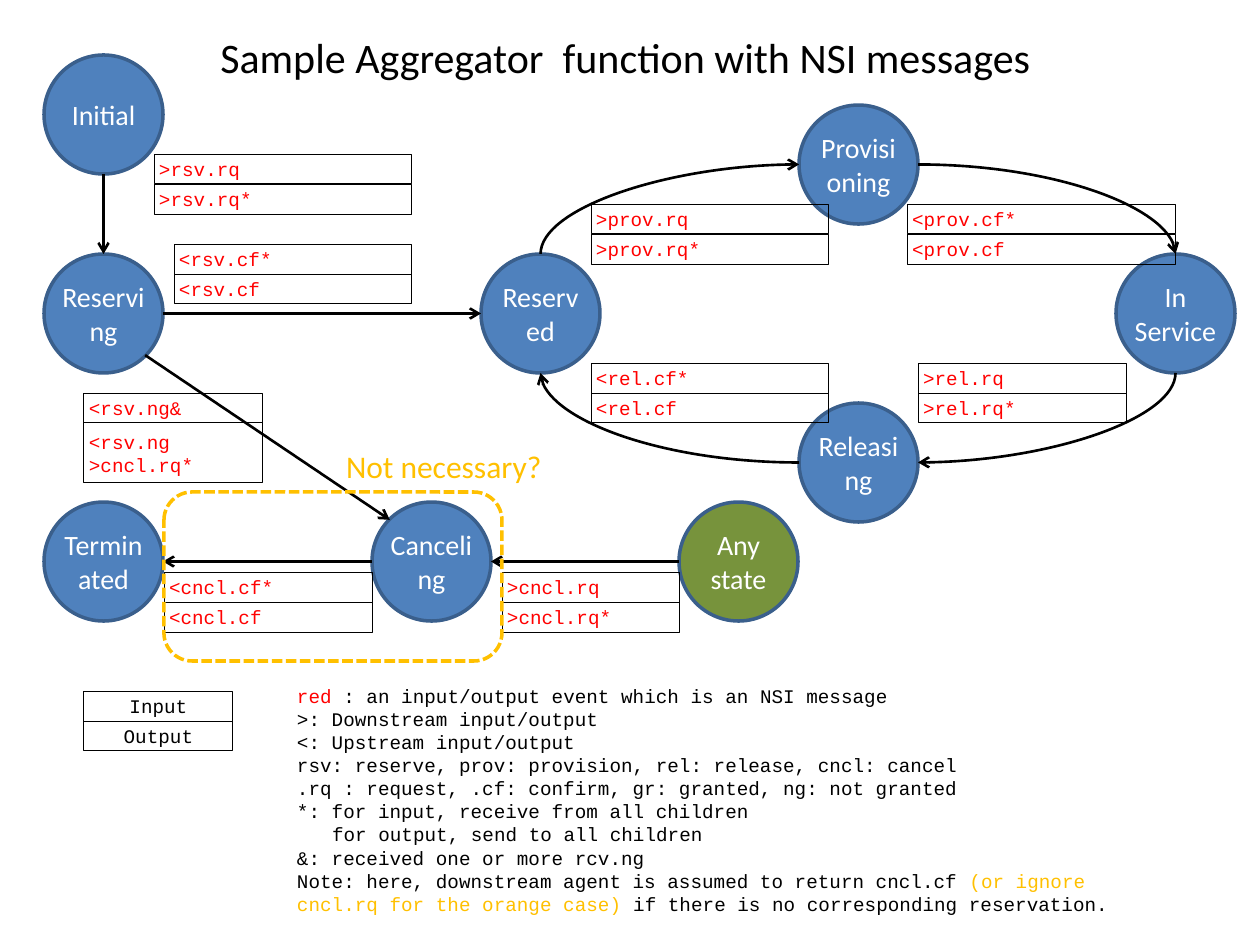
from lxml import etree
from pptx import Presentation
from pptx.dml.color import RGBColor
from pptx.enum.dml import MSO_LINE
from pptx.enum.shapes import MSO_CONNECTOR, MSO_SHAPE
from pptx.enum.text import MSO_ANCHOR, PP_ALIGN
from pptx.oxml.ns import qn
from pptx.util import Pt

PX = 914400 / 126
OVAL, RECT, ROUNDED = MSO_SHAPE.OVAL, MSO_SHAPE.RECTANGLE, MSO_SHAPE.ROUNDED_RECTANGLE
STRAIGHT, CURVE = MSO_CONNECTOR.STRAIGHT, MSO_CONNECTOR.CURVE
LEFT, CENTER = PP_ALIGN.LEFT, PP_ALIGN.CENTER
MIDDLE, TOP_ANCHOR = MSO_ANCHOR.MIDDLE, MSO_ANCHOR.TOP
DASHED = MSO_LINE.SQUARE_DOT
SANS, MONO = "Calibri", "Courier New"
BLACK, WHITE, RED, ORANGE = "000000", "FFFFFF", "FF0000", "FFC000"
BLUE, GREEN, RIM = "4F81BD", "77933C", "3A5F8C"
DIAMETER, ROW = 119, 30
TOP, TOP_LEFT, WEST, BOTTOM, BOTTOM_RIGHT, EAST = 0, 1, 2, 4, 5, 6
SITES = {TOP: (0.5, 0), TOP_LEFT: (0.15, 0.15), WEST: (0, 0.5),
         BOTTOM: (0.5, 1), BOTTOM_RIGHT: (0.85, 0.85), EAST: (1, 0.5)}

STATES = {
    "Initial": (0, 0, ["Initial"], BLUE),
    "Reserving": (0, 199, ["Reserving"], BLUE),
    "Reserved": (437, 199, ["Reserved"], BLUE),
    "Provisioning": (755, 50, ["Provisioning"], BLUE),
    "In Service": (1072, 199, ["In", "Service"], BLUE),
    "Releasing": (755, 348, ["Releasing"], BLUE),
    "Terminated": (0, 447, ["Terminated"], BLUE),
    "Canceling": (328, 447, ["Canceling"], BLUE),
    "Any state": (635, 447, ["Any", "state"], GREEN),
}
TRANSITIONS = [
    ("Initial", BOTTOM, "Reserving", TOP),
    ("Reserving", EAST, "Reserved", WEST),
    ("Reserving", BOTTOM_RIGHT, "Canceling", TOP_LEFT),
    ("Canceling", WEST, "Terminated", EAST),
    ("Any state", WEST, "Canceling", EAST),
]
LOOP = [
    ("Reserved", TOP, "Provisioning", WEST, 1),
    ("Provisioning", EAST, "In Service", TOP, 0),
    ("In Service", BOTTOM, "Releasing", EAST, 1),
    ("Releasing", WEST, "Reserved", BOTTOM, 2),
]
MESSAGES = [
    (110, 99, 258, [">rsv.rq"], [">rsv.rq*"]),
    (130, 189, 238, ["<rsv.cf*"], ["<rsv.cf"]),
    (40, 338, 179, ["<rsv.ng&"], ["<rsv.ng", ">cncl.rq*"]),
    (547, 149, 238, [">prov.rq"], [">prov.rq*"]),
    (863, 149, 268, ["<prov.cf*"], ["<prov.cf"]),
    (547, 308, 238, ["<rel.cf*"], ["<rel.cf"]),
    (874, 308, 208, [">rel.rq"], [">rel.rq*"]),
    (120, 517, 208, ["<cncl.cf*"], ["<cncl.cf"]),
    (458, 517, 178, [">cncl.rq"], [">cncl.rq*"]),
]
NOTES = [
    [("red", RED), (" : an input/output event which is an NSI message", BLACK)],
    [(">: Downstream input/output", BLACK)],
    [("<: Upstream input/output", BLACK)],
    [("rsv: reserve, prov: provision, rel: release, cncl: cancel", BLACK)],
    [(".rq : request, .cf: confirm, gr: granted, ng: not granted", BLACK)],
    [("*: for input, receive from all children", BLACK)],
    [("for output, send to all children", BLACK)],
    [("&: received one or more rcv.ng", BLACK)],
    [("Note: here, downstream agent is assumed to return cncl.cf ", BLACK),
     ("(or ignore cncl.rq for the orange case) ", ORANGE),
     ("if there is no corresponding reservation.", BLACK)],
]
INDENTED_NOTE = 6


def emu(*lengths):
    return [round(length * PX) for length in lengths]


def rgb(code):
    return RGBColor.from_string(code)


def write(holder, lines, font, size, align=LEFT, anchor=MIDDLE, insets=(5, 0), wrap=True):
    frame = holder.text_frame
    frame.word_wrap = wrap
    frame.vertical_anchor = anchor
    frame.margin_left = frame.margin_right = emu(insets[0])[0]
    frame.margin_top = frame.margin_bottom = emu(insets[1])[0]
    for index, line in enumerate(lines):
        paragraph = frame.paragraphs[0] if index == 0 else frame.add_paragraph()
        paragraph.alignment = align
        for words, color in line:
            run = paragraph.add_run()
            run.text = words
            run.font.name = font
            run.font.size = Pt(size)
            run.font.color.rgb = rgb(color)
    return frame


def outline(parent, preset, box, color, width, fill=None):
    shape = parent.add_shape(preset, *emu(*box))
    shape.shadow.inherit = False
    if fill:
        shape.fill.solid()
        shape.fill.fore_color.rgb = rgb(fill)
    else:
        shape.fill.background()
    shape.line.color.rgb = rgb(color)
    shape.line.width = Pt(width)
    return shape


def draw_states(slide, left, top):
    circles = {}
    for state, (x, y, lines, fill) in STATES.items():
        box = (left + x, top + y, DIAMETER, DIAMETER)
        circle = outline(slide.shapes, OVAL, box, RIM, 2, fill)
        write(circle, [[(line, WHITE)] for line in lines], SANS, 16, CENTER, insets=(0, 0))
        circles[state] = circle
    return circles


def site_point(circle, site):
    across, down = SITES[site]
    return circle.left + across * circle.width, circle.top + down * circle.height


def draw_arrow(slide, circles, source, source_site, target, target_site, turns=None):
    x1, y1 = site_point(circles[source], source_site)
    x2, y2 = site_point(circles[target], target_site)
    dx, dy = x2 - x1, y2 - y1
    for _ in range(turns or 0):
        dx, dy = dy, -dx
    middle_x, middle_y = (x1 + x2) / 2, (y1 + y2) / 2
    ends = (middle_x - dx / 2, middle_y - dy / 2, middle_x + dx / 2, middle_y + dy / 2)
    arrow = slide.shapes.add_connector(STRAIGHT if turns is None else CURVE,
                                       *[round(end) for end in ends])
    arrow.line.color.rgb = rgb(BLACK)
    arrow.line.width = Pt(1.5)
    properties = arrow._element.spPr
    if turns is not None:
        properties.find(qn("a:prstGeom")).set("prst", "curvedConnector2")
        properties.find(qn("a:xfrm")).set("rot", str(turns * 5400000))
    etree.SubElement(properties.find(qn("a:ln")), qn("a:tailEnd"), type="arrow")
    etree.SubElement(properties, qn("a:effectLst"))
    joints = arrow._element.nvCxnSpPr.cNvCxnSpPr
    for tag, state, site in (("a:stCxn", source, source_site), ("a:endCxn", target, target_site)):
        etree.SubElement(joints, qn(tag), id=str(circles[state].shape_id), idx=str(site))


def draw_event(slide, left, top, width, rows, color, align=LEFT):
    group = slide.shapes.add_group_shape()
    for lines in rows:
        height = ROW * len(lines)
        cell = outline(group.shapes, RECT, (left, top, width, height), BLACK, 0.5)
        write(cell, [[(line, color)] for line in lines], MONO, 11, align)
        top += height


def draw_diagram(slide, left, top):
    circles = draw_states(slide, left, top)
    for transition in TRANSITIONS + LOOP:
        draw_arrow(slide, circles, *transition)
    for x, y, width, *rows in MESSAGES:
        draw_event(slide, left + x, top + y, width, rows, RED)


def draw_title(slide, box):
    title = slide.shapes.add_textbox(*emu(*box))
    write(title, [[("Sample Aggregator  function with NSI messages", BLACK)]],
          SANS, 24, CENTER, TOP_ANCHOR, (13, 6), False)


def draw_legend(slide, left, top):
    draw_event(slide, left, top, 149, [["Input"], ["Output"]], BLACK, CENTER)
    notes = slide.shapes.add_textbox(*emu(left + 208, top - 7, 873, 233))
    frame = write(notes, NOTES, MONO, 11, anchor=TOP_ANCHOR)
    indent = frame.paragraphs[INDENTED_NOTE]._p.get_or_add_pPr()
    indent.set("marL", str(emu(35)[0]))
    indent.set("indent", "0")


def draw_question(slide, left, top):
    border = outline(slide.shapes, ROUNDED, (left, top, 338, 169), ORANGE, 2)
    border.line.dash_style = DASHED
    question = slide.shapes.add_textbox(*emu(left + 169, top - 51, 223, 51))
    write(question, [[("Not necessary?", ORANGE)]], SANS, 18,
          anchor=TOP_ANCHOR, insets=(13, 6), wrap=False)


def main():
    deck = Presentation()
    deck.slide_width, deck.slide_height = emu(1260, 945)
    slide = deck.slides.add_slide(deck.slide_layouts[6])
    draw_diagram(slide, 44, 55)
    draw_title(slide, (204, 26, 843, 63))
    draw_legend(slide, 84, 691)
    draw_question(slide, 164, 492)
    deck.save("out.pptx")


if __name__ == "__main__":
    main()
